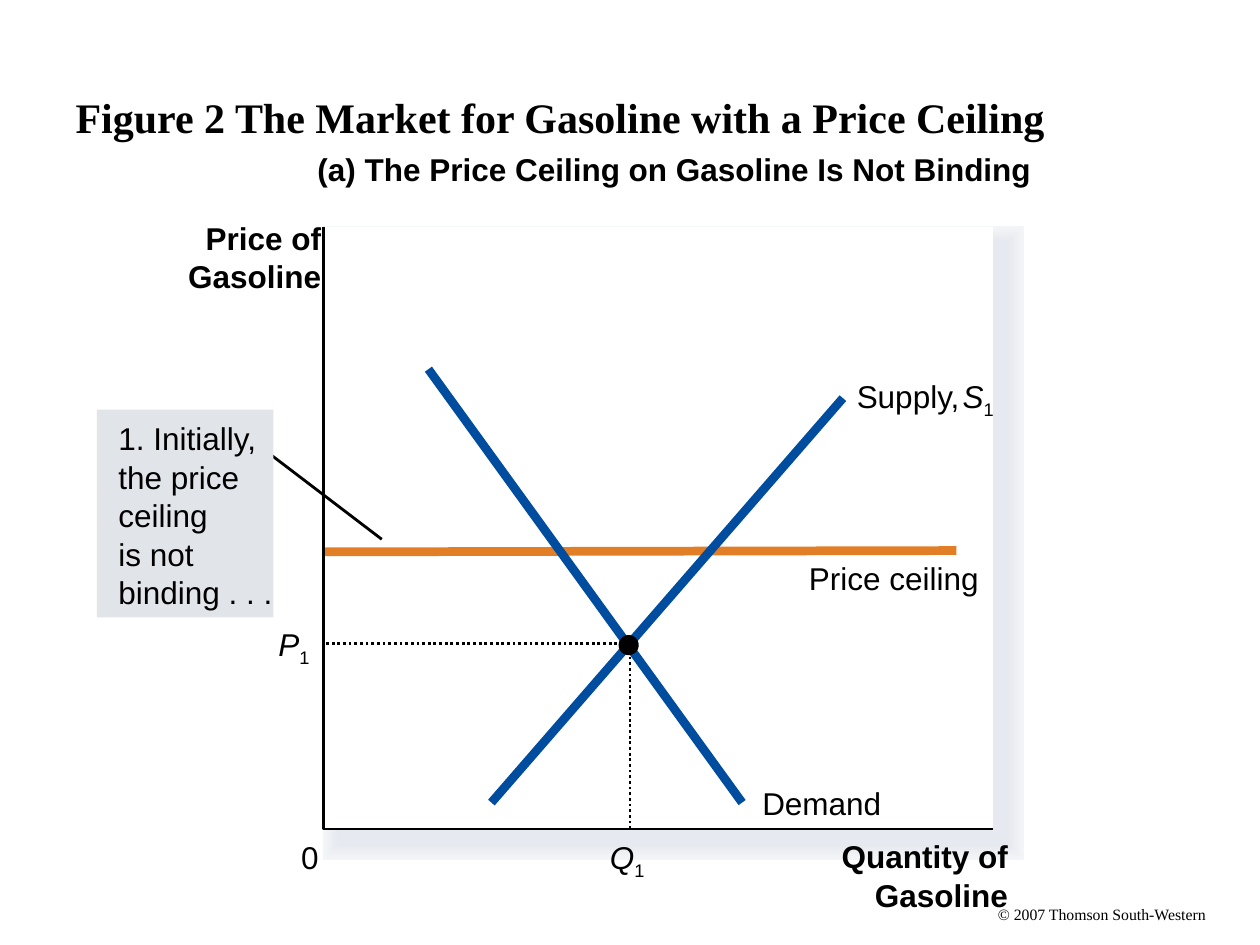
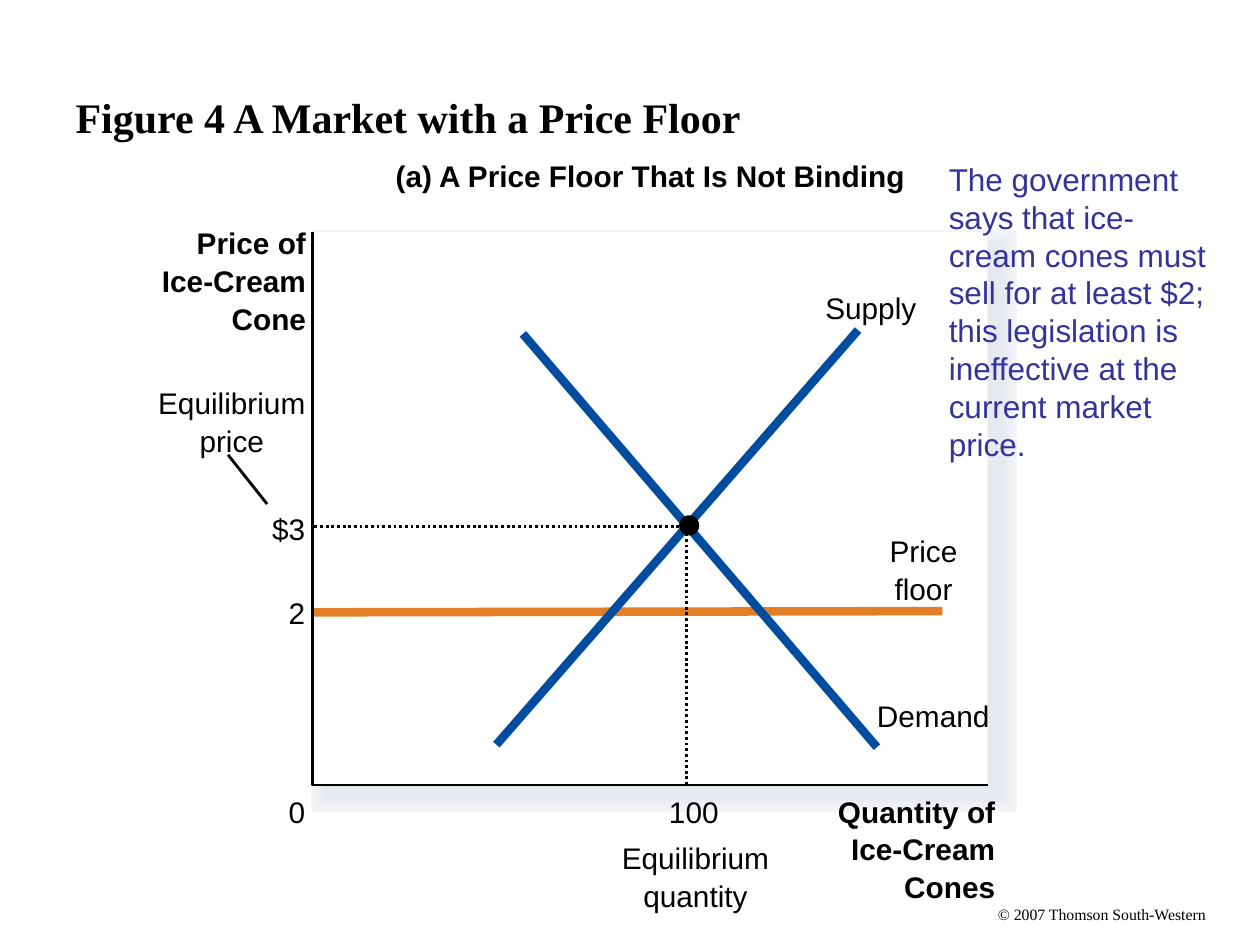
from lxml import etree
from pptx import Presentation
from pptx.dml.color import RGBColor
from pptx.enum.dml import MSO_LINE
from pptx.enum.shapes import MSO_CONNECTOR, MSO_SHAPE
from pptx.enum.text import MSO_ANCHOR, PP_ALIGN
from pptx.oxml.ns import qn
from pptx.util import Inches, Pt

RECT, OVAL = MSO_SHAPE.RECTANGLE, MSO_SHAPE.OVAL
LINE, DOTS = MSO_CONNECTOR.STRAIGHT, MSO_LINE.ROUND_DOT
LEFT, MID, RIGHT = PP_ALIGN.LEFT, PP_ALIGN.CENTER, PP_ALIGN.RIGHT

BLACK, WHITE, NAVY = "000000", "FFFFFF", "333399"
BLUE, AMBER, GREY = "004C9F", "E17E26", "E1E5E9"
SHADES = ["F3F6F9", "F2F4F8", "F1F4F7", "F0F2F5", "EEF1F4", "EDEFF3",
          "EBEEF2", "EAECF1", "E9EBF0", "E7EAEF", "E6E9EF"]
SANS, SERIF = "Arial", "Times New Roman"
THIN = 1.62
rgb = RGBColor.from_string


def paint(shape, fill=None, line=None, width=THIN):
    """Set fill and outline; None means empty."""
    shape.shadow.inherit = False
    if fill:
        shape.fill.solid()
        shape.fill.fore_color.rgb = rgb(fill)
    else:
        shape.fill.background()
    if line:
        shape.line.color.rgb = rgb(line)
        shape.line.width = Pt(width)
    else:
        shape.line.fill.background()


def label(slide, text, x, y, w, size, align=LEFT, bold=False, step=None,
          font=SANS, color=BLACK, h=None):
    """Add a text box; "X_1" gives an italic X with a subscript 1."""
    rows = text.count("\n") + 1
    high = h or rows * (step or size * 1.2) / 72
    box = slide.shapes.add_textbox(Inches(x), Inches(y), Inches(w), Inches(high))
    frame = box.text_frame
    frame.word_wrap = False
    frame.margin_left = frame.margin_right = 0
    frame.margin_top = frame.margin_bottom = 0
    para = frame.paragraphs[0]
    if "_" in text:
        base, sub = text.split("_")
        run = para.add_run()
        run.text, run.font.italic = base, True
        run = para.add_run()
        run.text = sub
        run.font._element.set("baseline", "-25000")
    else:
        para.text = text.replace("\n", "\v")
    para.alignment = align
    if step:
        para.line_spacing = Pt(step)
    para.font.name, para.font.size = font, Pt(size)
    para.font.bold, para.font.color.rgb = bold, rgb(color)
    return frame


# Each label: text, left, top, width, alignment, bold
figures = [
    dict(
        title="Figure 2 The Market for Gasoline with a Price Ceiling",
        size=18, step=22, thick=5, shade=1.65,
        panel=(2.57, 1.8, 5.31, 4.78), back=(2.69, 1.92, 5.31, 4.78),
        note=(0.77, 3.25, 1.4, 1.65),
        pointer=(3.03, 4.28, 1.98, 3.48),
        limit=(7.59, 4.37, 2.57, 4.38),
        demand=(3.4, 2.93, 5.89, 6.37), supply=(3.9, 6.37, 6.69, 3.16),
        cross=(5, 5.11), dot=(4.91, 5.04),
        labels=[
            ("(a) The Price Ceiling on Gasoline Is Not Binding",
             2.52, 1.19, 5.9, LEFT, True),
            ("Price of\nGasoline", 1.35, 1.73, 1.2, RIGHT, True),
            ("Quantity of\nGasoline", 6.5, 6.64, 1.5, RIGHT, True),
            ("1. Initially,\nthe price\nceiling\nis not\nbinding . . .",
             0.94, 3.32, 1.5, LEFT, False),
            ("Price ceiling", 6.42, 4.44, 1.6, LEFT, False),
            ("Demand", 6.05, 6.22, 1.2, LEFT, False),
            ("Supply,", 6.8, 2.99, 1, LEFT, False),
            ("S_1", 7.64, 2.99, 0.5, LEFT, False),
            ("P_1", 2.21, 4.96, 0.5, LEFT, False),
            ("Q_1", 4.84, 6.65, 0.5, LEFT, False),
            ("0", 2.39, 6.65, 0.3, LEFT, False),
        ]),
    dict(
        title="Figure 4 A Market with a Price Floor",
        size=17, step=21.6, thick=4.88, shade=1.63,
        panel=(2.48, 1.84, 5.36, 4.39), back=(2.59, 1.95, 5.36, 4.37),
        note=None,
        pointer=(1.81, 3.61, 2.12, 4),
        limit=(7.48, 4.85, 2.48, 4.86),
        demand=(4.15, 2.65, 6.96, 5.93), supply=(3.94, 5.91, 6.81, 2.62),
        cross=(5.45, 4.18), dot=(5.39, 4.09),
        labels=[
            ("(a) A Price Floor That Is Not Binding",
             3.14, 1.25, 4.25, LEFT, True),
            ("Price of\nIce-Cream\nCone", 1.13, 1.77, 1.3, RIGHT, True),
            ("Quantity of\nIce-Cream\nCones", 6.5, 6.28, 1.4, RIGHT, True),
            ("Equilibrium\nprice", 1.14, 3.04, 1.4, MID, False),
            ("Equilibrium\nquantity", 4.82, 6.65, 1.4, MID, False),
            ("Price\nfloor", 6.93, 4.21, 0.8, MID, False),
            ("Demand", 6.96, 5.54, 1.2, LEFT, False),
            ("Supply", 6.55, 2.3, 1, LEFT, False),
            ("$3", 2.16, 4.05, 0.5, LEFT, False),
            ("2", 2.29, 4.72, 0.3, LEFT, False),
            ("100", 5.31, 6.3, 0.6, LEFT, False),
            ("0", 2.29, 6.3, 0.3, LEFT, False),
        ]),
]

deck = Presentation()
deck.slide_width, deck.slide_height = Inches(10), Inches(7.5)

for fig in figures:
    slide = deck.slides.add_slide(deck.slide_layouts[6])
    shapes = slide.shapes

    # Footer and title
    label(slide, "© 2007 Thomson South-Western", 7.92, 7.18, 1.9, 9, font=SERIF)
    frame = label(slide, fig["title"], 0.6, 0.3, 8.8, 24, bold=True,
                  font=SERIF, h=1.25)
    frame.word_wrap = True
    frame.vertical_anchor = MSO_ANCHOR.MIDDLE

    # Soft shadow: square-cornered outlines that narrow as they darken
    for i, shade in enumerate(SHADES):
        layer = shapes.add_shape(RECT, *map(Inches, fig["back"]))
        paint(layer, shade, shade, fig["shade"] * (len(SHADES) - i))
        edge = layer._element.spPr.find(qn("a:ln"))
        etree.SubElement(edge, qn("a:miter"), lim="800000")
    paint(shapes.add_shape(RECT, *map(Inches, fig["panel"])), WHITE)

    # Pointer, price limit and curves
    lines = [("pointer", BLACK, THIN), ("limit", AMBER, fig["thick"]),
             ("demand", BLUE, fig["thick"]), ("supply", BLUE, fig["thick"])]
    for key, color, width in lines:
        line = shapes.add_connector(LINE, *map(Inches, fig[key]))
        line.line.color.rgb = rgb(color)
        line.line.width = Pt(width)
        etree.SubElement(line._element.spPr, qn("a:effectLst"))
    if fig["note"]:
        paint(shapes.add_shape(RECT, *map(Inches, fig["note"])), GREY)

    # Dotted guides and axes
    left, top, wide, high = fig["panel"]
    x, y = fig["cross"]
    base = top + high
    guides = [(x, base), (x, y), (left, y)]
    axes = [(left, top), (left, base), (left + wide, base)]
    for points, dash in [(guides, DOTS), (axes, None)]:
        start, *rest = [(Inches(a), Inches(b)) for a, b in points]
        pen = shapes.build_freeform(*start)
        pen.add_line_segments(rest, close=False)
        trace = pen.convert_to_shape()
        paint(trace, line=BLACK)
        if dash:
            trace.line.dash_style = dash

    # Equilibrium point
    spot = shapes.add_shape(OVAL, *map(Inches, (*fig["dot"], 0.16, 0.16)))
    paint(spot, BLACK)

    # Labels
    for text, x, y, w, align, bold in fig["labels"]:
        step = fig["step"] if "\n" in text else None
        label(slide, text, x, y, w, fig["size"], align, bold, step)

# Remark beside the price floor
frame = label(slide, "The government says that ice-cream cones must sell for "
              "at least $2; this legislation is ineffective at the current "
              "market price.", 7.53, 1.27, 2.15, 18, step=21.6, color=NAVY, h=2.4)
frame.word_wrap = True

deck.save("out.pptx")
